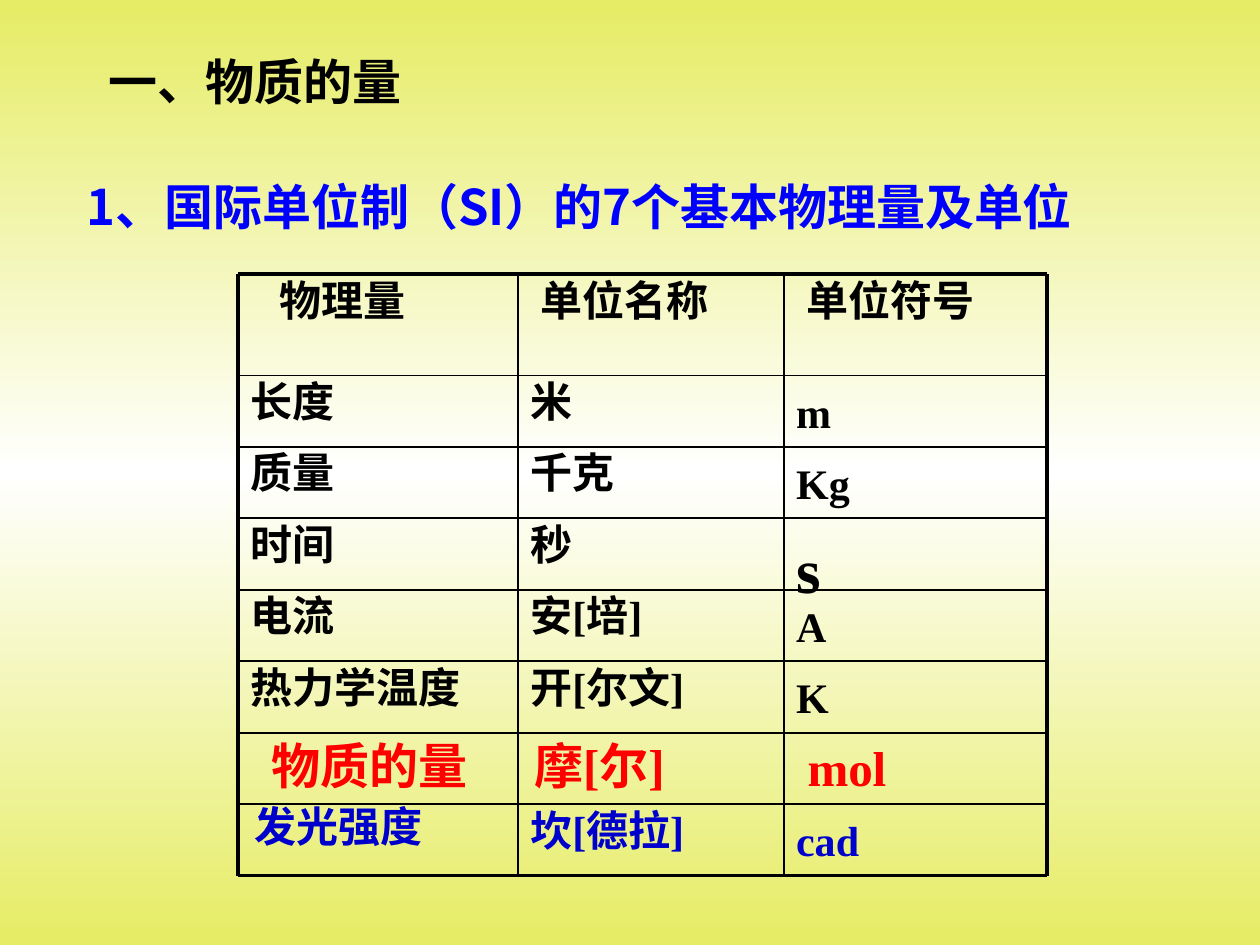
from pptx import Presentation
from pptx.util import Cm, Pt
from pptx.dml.color import RGBColor
from pptx.enum.shapes import MSO_CONNECTOR
from pptx.oxml.ns import qn
from lxml.etree import SubElement
from copy import deepcopy
from itertools import accumulate

SERIF, SANS = "Times New Roman", "Noto Sans CJK JP"
BLACK, RED, NAVY, BLUE = "000000", "FF0000", "0000CC", "0000FF"
ROWS = [
    ("物理量", "单位名称", "单位符号"),
    ("长度", "米", "m"),
    ("质量", "千克", "Kg"),
    ("时间", "秒", "s"),
    ("电流", "安[培]", "A"),
    ("热力学温度", "开[尔文]", "K"),
    ("物质的量", "摩[尔]", "mol"),
    ("发光强度", "坎[德拉]", "cad"),
]
WIDTHS = (5.64, 5.36, 5.3)
HEAD, ROW = 2.04, 1.44
PAD = 0.25
INDENTS = (0.83, 0.46, 0.46)
MOLE, LIGHT = 6, 7
# Offsets of the boxes that stand away from their grid cell
SHIFTS = {
    (MOLE, 0): (0.43, 0.05), (MOLE, 1): (0.08, 0.05), (MOLE, 2): (0.23, -0.13),
    (LIGHT, 0): (0.08, -0.08),
}


def color(text):
    return RGBColor.from_string(text)


def write(frame, text, size, tint, face=SERIF):
    run = frame.paragraphs[0].add_run()
    run.text = text
    font = run.font
    font.size, font.bold, font.name = Pt(size), True, face
    font.color.rgb = color(tint)
    SubElement(run._r.get_or_add_rPr(), qn("a:ea"), typeface=SANS)


def paint(slide):
    """Fill the background with a vertical three-stop gradient."""
    fill = slide.background.fill
    fill.gradient()
    fill.gradient_angle = 90
    first, last = fill.gradient_stops
    for stop, place in ((first, 0), (last, 1)):
        stop.color.rgb = color("E6EC64")
        stop.position = place
    stops = slide.element.find(".//" + qn("a:gsLst"))
    stops.insert(1, deepcopy(stops[0]))
    middle = fill.gradient_stops[1]
    middle.color.rgb = color("FFFFFF")
    middle.position = 0.5


def label(slide, box, wrap=True):
    frame = slide.shapes.add_textbox(*map(Cm, box)).text_frame
    frame.word_wrap = wrap
    return frame


def rule(slide, start, end, width):
    line = slide.shapes.add_connector(
        MSO_CONNECTOR.STRAIGHT, *map(Cm, start + end))
    line.line.color.rgb = color(BLACK)
    line.line.width = Pt(width)
    SubElement(line._element.spPr, qn("a:effectLst"))


def entry(slide, box, text, row, col):
    """Write one grid cell; Latin and Chinese get insets for a shared baseline."""
    left, top, width, height = box
    right, down = SHIFTS.get((row, col), (0, 0))
    frame = label(slide, (left + right, top + down, width - right, height))
    size = 36 if text == "s" else 28 if row == MOLE else 24
    frame.margin_left = Cm(PAD if row else INDENTS[col])
    frame.margin_top = Pt(3.6 + size / 10) if text.isascii() else 0
    write(frame, text, size, {MOLE: RED, LIGHT: NAVY}.get(row, BLACK))


def units(slide, left, top):
    """Place the ruled grid of base quantities with its corner at left, top."""
    xs = list(accumulate(WIDTHS, initial=left))
    heights = [HEAD] + [ROW] * (len(ROWS) - 1)
    ys = list(accumulate(heights, initial=top))
    for r, words in enumerate(ROWS):
        for c, word in enumerate(words):
            entry(slide, (xs[c], ys[r], WIDTHS[c], heights[r]), word, r, c)
    for y in ys:
        rule(slide, (xs[0], y), (xs[-1], y), 2.25 if y in (ys[0], ys[-1]) else 1)
    for x in xs:
        rule(slide, (x, ys[0]), (x, ys[-1]), 2.25 if x in (xs[0], xs[-1]) else 1)


def main():
    deck = Presentation()
    deck.slide_width, deck.slide_height = Cm(25.4), Cm(19.05)
    slide = deck.slides.add_slide(deck.slide_layouts[6])
    paint(slide)
    title = label(slide, (1.93, 0.91, 6.43, 1.45), wrap=False)
    write(title, "一、物质的量", 28, BLACK)
    topic = label(slide, (1.5, 3.43, 22.6, 1.45))
    write(topic, "1、国际单位制（SI）的7个基本物理量及单位", 28, BLUE, SANS)
    units(slide, 4.8, 5.53)
    deck.save("out.pptx")


if __name__ == "__main__":
    main()
